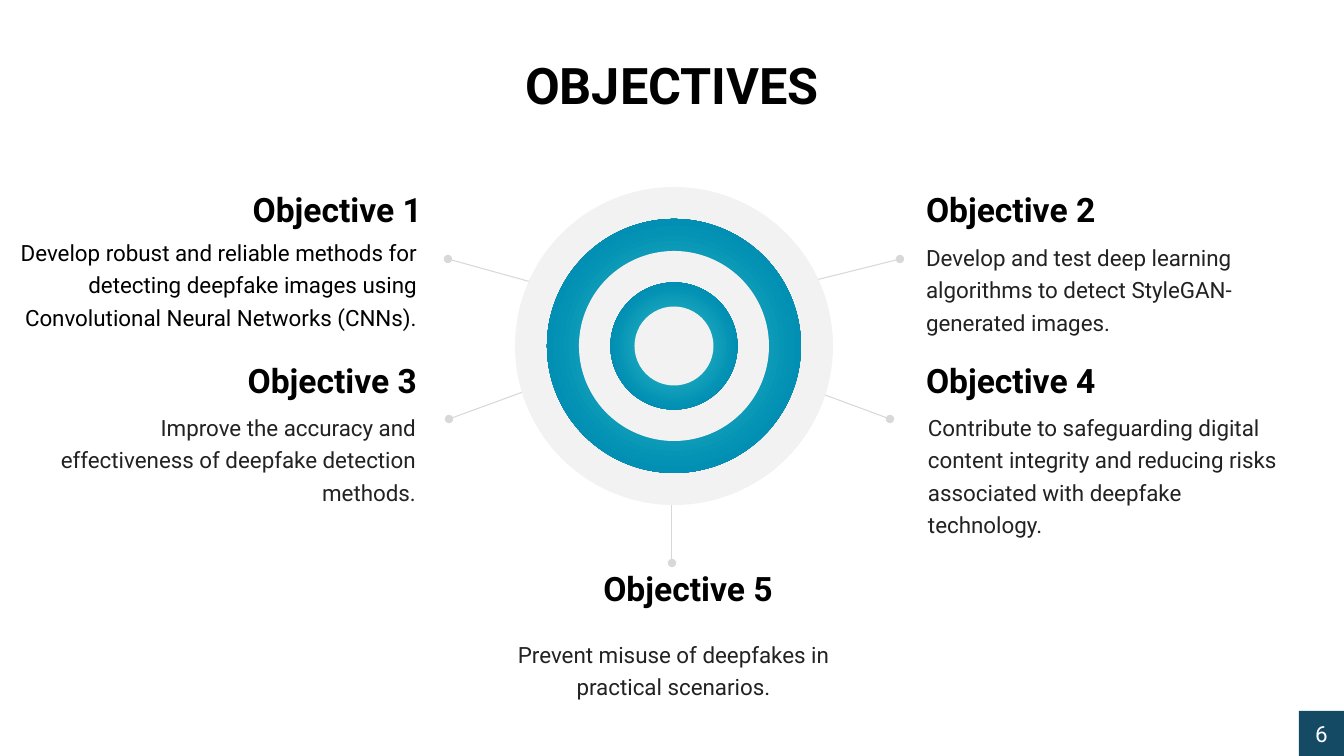
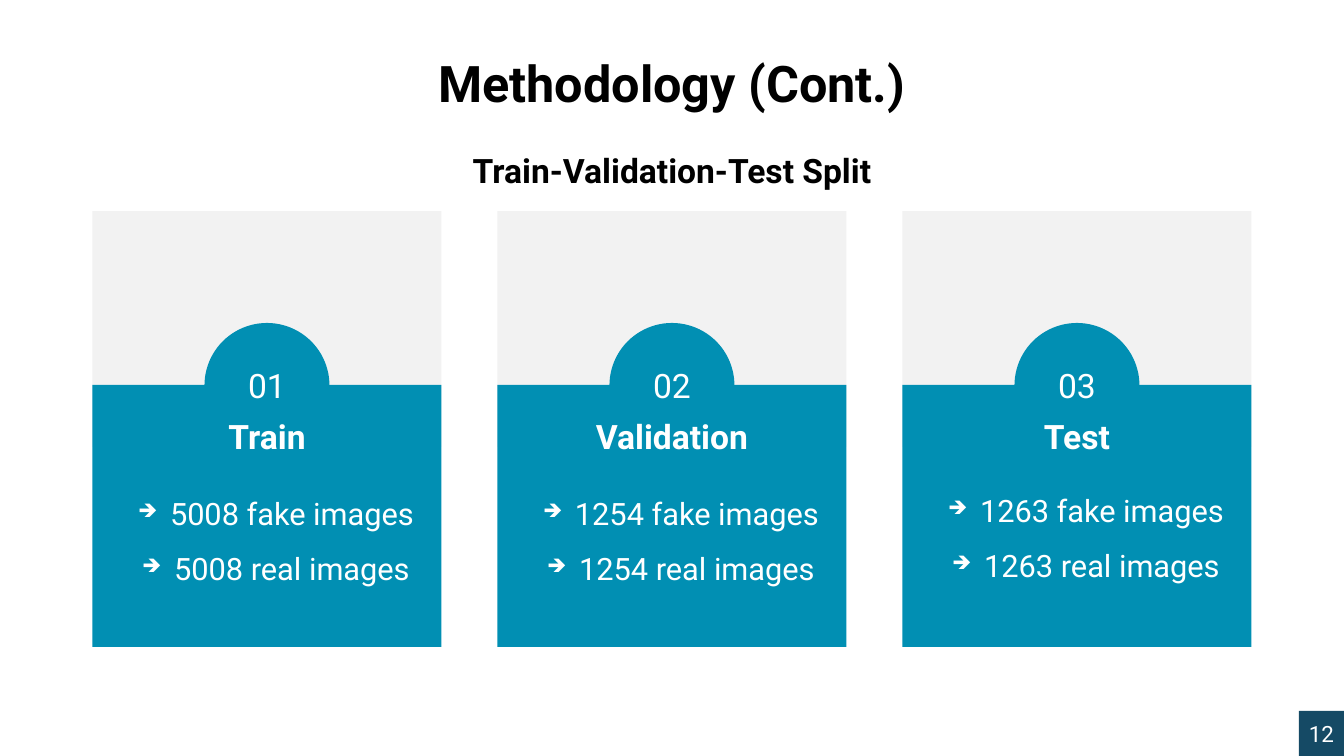
from lxml import etree
from pptx import Presentation
from pptx.dml.color import RGBColor
from pptx.enum.shapes import MSO_CONNECTOR, MSO_SHAPE
from pptx.enum.text import MSO_ANCHOR, MSO_AUTO_SIZE, PP_ALIGN
from pptx.oxml.ns import qn
from pptx.util import Emu, Pt

RECT, OVAL = MSO_SHAPE.RECTANGLE, MSO_SHAPE.OVAL
STRAIGHT = MSO_CONNECTOR.STRAIGHT
LEFT, CENTER, RIGHT = PP_ALIGN.LEFT, PP_ALIGN.CENTER, PP_ALIGN.RIGHT
TOP, MIDDLE, BOTTOM = MSO_ANCHOR.TOP, MSO_ANCHOR.MIDDLE, MSO_ANCHOR.BOTTOM
NO_AUTOFIT = MSO_AUTO_SIZE.NONE

BLACK = RGBColor(0x00, 0x00, 0x00)
WHITE = RGBColor(0xFF, 0xFF, 0xFF)
INK = RGBColor(0x22, 0x22, 0x22)
NAVY = RGBColor(0x15, 0x4A, 0x65)
TEAL = RGBColor(0x01, 0x8F, 0xB3)
PALE = RGBColor(0xF2, 0xF2, 0xF2)
LINE_GRAY = RGBColor(0xD8, 0xD8, 0xD8)
RING_STOPS = (
    (0, RGBColor(0x59, 0xC8, 0xCC)),
    (30, RGBColor(0x1D, 0xAB, 0xC0)),
    (70, TEAL),
    (100, RGBColor(0x1C, 0x6E, 0x96)),
)

SLIDE_W, SLIDE_H = 1344, 756
EMU_PER_PX = 12192000 / SLIDE_W
TITLE_ONLY = 5


def px(length):
    return Emu(round(length * EMU_PER_PX))


def sub(parent, tag, **attributes):
    """Append a child element with the given attributes."""
    return etree.SubElement(parent, qn(tag), attributes)


class Deck:
    FONT = "Roboto"
    BADGE = 45

    def __init__(self):
        self.prs = Presentation()
        self.prs.slide_width, self.prs.slide_height = px(SLIDE_W), px(SLIDE_H)
        self.slide = None

    def new_slide(self, title, title_top, number):
        self.slide = self.prs.slides.add_slide(self.prs.slide_layouts[TITLE_ONLY])
        heading = self.slide.shapes.title
        place = dict(left=196, top=title_top, width=952, height=65)
        for side, length in place.items():
            setattr(heading, side, px(length))
        self.set_text(heading, [title], 36, BLACK, bold=True, anchor=BOTTOM)
        badge = self.shape(RECT, SLIDE_W - self.BADGE, SLIDE_H - self.BADGE,
                           self.BADGE, self.BADGE, NAVY)
        self.set_text(badge, [number], 16, WHITE, inset=(0, 0))

    def set_text(self, shape, lines, size, color, bold=False, align=CENTER,
                 anchor=MIDDLE, spacing=1.0, inset=(0, 5), bullet=None):
        """Fill a shape with paragraphs; inset is (horizontal, vertical)."""
        frame = shape.text_frame
        across, down = px(inset[0]), px(inset[1])
        frame_format = dict(word_wrap=True, auto_size=NO_AUTOFIT,
                            vertical_anchor=anchor, margin_left=across,
                            margin_right=across, margin_top=down, margin_bottom=down)
        for name, value in frame_format.items():
            setattr(frame, name, value)
        font_format = dict(name=self.FONT, size=Pt(size), bold=bold)
        for index, line in enumerate(lines):
            paragraph = frame.add_paragraph() if index else frame.paragraphs[0]
            if bullet:
                self.add_bullet(paragraph, bullet, color)
            paragraph.alignment, paragraph.line_spacing = align, spacing
            run = paragraph.add_run()
            run.text = line
            for name, value in font_format.items():
                setattr(run.font, name, value)
            run.font.color.rgb = color

    def add_bullet(self, paragraph, symbol, color):
        props = paragraph._p.get_or_add_pPr()
        props.set("marL", str(px(50)))
        props.set("indent", str(px(-32)))
        sub(sub(props, "a:buClr"), "a:srgbClr", val=str(color))
        sub(props, "a:buSzPct", val="60000")
        sub(props, "a:buChar", char=symbol)

    def text(self, left, top, width, height, lines, size, color, **style):
        box = self.slide.shapes.add_textbox(px(left), px(top), px(width), px(height))
        self.set_text(box, lines, size, color, **{"anchor": TOP, **style})

    def shape(self, kind, left, top, width, height, fill):
        item = self.slide.shapes.add_shape(kind, px(left), px(top), px(width), px(height))
        item.shadow.inherit = False
        item.line.fill.background()
        if isinstance(fill, RGBColor):
            item.fill.solid()
            item.fill.fore_color.rgb = fill
        else:
            self.radial_fill(item, fill)
        return item

    def radial_fill(self, item, stops):
        item.fill.gradient()
        gradient = item._element.spPr.find(qn("a:gradFill"))
        for child in list(gradient):
            gradient.remove(child)
        stop_list = sub(gradient, "a:gsLst")
        for percent, color in stops:
            stop = sub(stop_list, "a:gs", pos=str(percent * 1000))
            sub(stop, "a:srgbClr", val=str(color))
        circle = sub(gradient, "a:path")
        circle.set("path", "circle")
        sub(circle, "a:fillToRect", l="50000", t="50000", r="50000", b="50000")

    def pointer(self, start, end):
        """Draw a thin line that ends in a dot."""
        line = self.slide.shapes.add_connector(STRAIGHT, *map(px, start + end))
        line.line.color.rgb = LINE_GRAY
        line.line.width = Pt(0.75)
        sub(line._element.spPr.find(qn("a:ln")), "a:tailEnd", type="oval")
        sub(line._element.spPr, "a:effectLst")


def objectives(deck):
    deck.new_slide("OBJECTIVES", 55, "6")
    pointers = (
        ((531, 282), (448, 259)),
        ((672, 491), (672, 563)),
        ((816, 280), (900, 259)),
        ((523, 392), (449, 419)),
        ((817, 392), (890, 419)),
    )
    for start, end in pointers:
        deck.pointer(start, end)

    center_x, center_y = 674, 346
    rings = ((318, PALE), (254, RING_STOPS), (190, PALE), (127, RING_STOPS), (79, PALE))
    for size, fill in rings:
        deck.shape(OVAL, center_x - size / 2, center_y - size / 2, size, size, fill)

    # number, heading (left, top), body (left, top, width), alignment, colour, body text
    goals = (
        (1, (116, 184), (13, 229, 404), RIGHT, BLACK,
         "Develop robust and reliable methods for detecting deepfake images using "
         "Convolutional Neural Networks (CNNs)."),
        (2, (926, 184), (926, 234, 381), LEFT, INK,
         "Develop and test deep learning algorithms to detect StyleGAN-generated images."),
        (3, (111, 355), (37, 404, 379), RIGHT, INK,
         "Improve the accuracy and effectiveness of deepfake detection methods."),
        (4, (926, 355), (928, 404, 371), LEFT, INK,
         "Contribute to safeguarding digital content integrity and reducing risks "
         "associated with deepfake technology."),
        (5, (535, 563), (478, 631, 391), CENTER, INK,
         "Prevent misuse of deepfakes in practical scenarios."),
    )
    for number, heading, (left, top, width), align, color, body in goals:
        deck.text(*heading, 306, 50, [f"Objective {number}"], 24, BLACK,
                  bold=True, align=align)
        deck.text(left, top, width, 103, [body], 16, color, align=align, spacing=1.2)


def data_split(deck):
    deck.new_slide("Methodology (Cont.)", 53, "12")
    deck.text(196, 137, 952, 65, ["Train-Validation-Test Split"], 24, BLACK,
              bold=True, spacing=1.2)

    card_width, pitch, circle = 349, 405, 125
    splits = (("Train", 5008, 471), ("Validation", 1254, 471), ("Test", 1263, 468))
    for index, (name, count, list_top) in enumerate(splits):
        left = 92.5 + index * pitch
        deck.shape(RECT, left, 211, card_width, 236, PALE)
        deck.shape(RECT, left, 385, card_width, 262, TEAL)
        badge = deck.shape(OVAL, left + (card_width - circle) / 2, 323,
                           circle, circle, TEAL)
        deck.set_text(badge, [f"{index + 1:02}"], 24, WHITE, inset=(0, 0))
        deck.text(left, 406, card_width, 61, [name], 24, WHITE, bold=True, inset=(10, 10))
        deck.text(left, list_top, card_width, 130,
                  [f"{count} {kind} images" for kind in ("fake", "real")],
                  22, WHITE, spacing=1.5, bullet="➔")


def main():
    deck = Deck()
    objectives(deck)
    data_split(deck)
    deck.prs.save("out.pptx")


if __name__ == "__main__":
    main()
